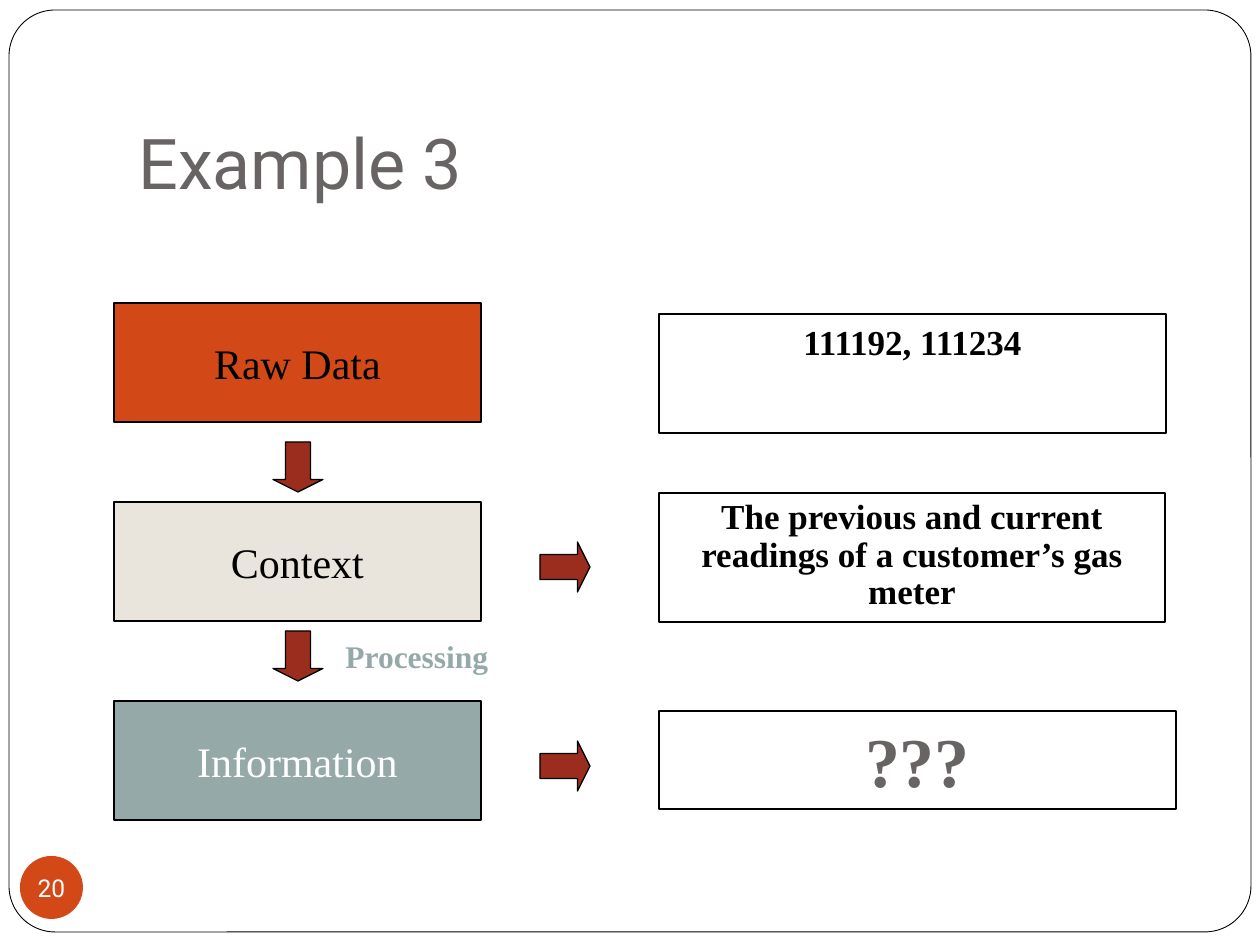
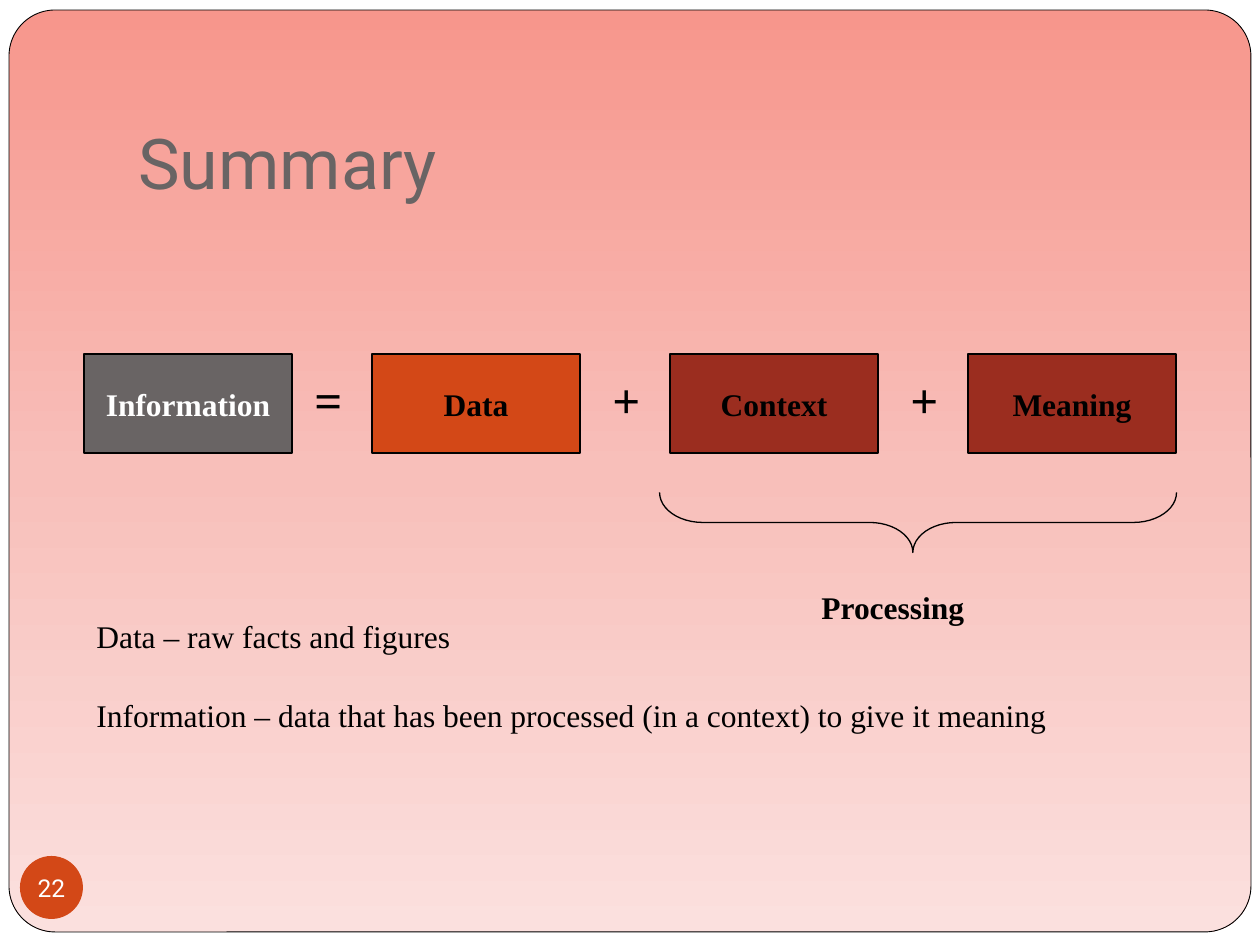
from copy import deepcopy
from dataclasses import dataclass

from pptx import Presentation
from pptx.dml.color import RGBColor
from pptx.enum.shapes import MSO_SHAPE as Shape
from pptx.enum.text import MSO_ANCHOR as Anchor, PP_ALIGN as Align
from pptx.util import Emu, Pt


@dataclass(frozen=True)
class Theme:
    black: str = "000000"
    white: str = "FFFFFF"
    gray: str = "696464"
    orange: str = "D34817"
    red: str = "9B2D1F"
    sand: str = "E9E5DC"
    sage: str = "96A9A9"
    blush: tuple = ("F7968C", "F8BFBA", "FBE0DE")
    sans: str = "Roboto"
    serif: str = "Times New Roman"
    title: int = 40
    flow: int = 24
    operator: int = 28
    detail: int = 20
    body: int = 18
    number: int = 14
    outline: float = 0.75
    frame_outline: float = 0.5


THEME = Theme()
PX_PER_INCH = 126

# Content of the example slide: the flow and its explanations
EXAMPLE = {"title": "Example 3", "number": "20"}
FLOW = [
    ("Raw Data", THEME.orange, THEME.black),
    ("Context", THEME.sand, THEME.black),
    ("Information", THEME.sage, THEME.white),
]
# Text, top, width, height, type size, colour, line spacing
EXPLANATIONS = [
    ("111192, 111234", 314, 507, 119, THEME.detail, THEME.black, None),
    ("The previous and current readings of a customer’s gas meter",
     493, 506, 129, THEME.detail, THEME.black, 0.9),
    ("???", 711, 517, 98, THEME.title, THEME.gray, None),
]
# Left, top, rotation
ARROWS = [(273, 442, 0), (273, 631, 0), (540, 542, 270), (540, 741, 270)]

# Content of the summary slide: the equation and its definitions
SUMMARY = {"title": "Summary", "number": "22"}
RESULT = ("Information", THEME.gray, THEME.white)
TERMS = [
    ("=", "Data", THEME.orange),
    ("+", "Context", THEME.red),
    ("+", "Meaning", THEME.red),
]
DEFINITIONS = [
    ("Data – raw facts and figures", 611, 466),
    ("Information – data that has been processed (in a context) to give it meaning",
     690, 1101),
]
PROCESSING = "Processing"


def px(length):
    return Emu(round(length * 914400 / PX_PER_INCH))


def rgb(color):
    return RGBColor.from_string(color)


def write(shape, text, size, color, font=THEME.serif, bold=False,
          align=Align.LEFT, anchor=Anchor.TOP, line_spacing=None):
    frame = shape.text_frame
    frame.word_wrap = True
    frame.vertical_anchor = anchor
    paragraph = frame.paragraphs[0]
    paragraph.text = text
    paragraph.alignment = align
    if line_spacing:
        paragraph.line_spacing = line_spacing
    paragraph.font.size = Pt(size)
    paragraph.font.name = font
    paragraph.font.bold = bold
    paragraph.font.color.rgb = rgb(color)


def add_shape(slide, kind, box, fill=None, line=THEME.black, width=THEME.outline):
    shape = slide.shapes.add_shape(kind, *map(px, box))
    shape.shadow.inherit = False
    if fill:
        shape.fill.solid()
        shape.fill.fore_color.rgb = rgb(fill)
    else:
        shape.fill.background()
    if line:
        shape.line.color.rgb = rgb(line)
        shape.line.width = Pt(width)
    else:
        shape.line.fill.background()
    return shape


def add_text(slide, box, text, size, color, **style):
    shape = slide.shapes.add_textbox(*map(px, box))
    write(shape, text, size, color, **style)
    return shape


def add_label_box(slide, box, text, fill, color, size, bold=False):
    shape = add_shape(slide, Shape.RECTANGLE, box, fill)
    write(shape, text, size, color, bold=bold, align=Align.CENTER, anchor=Anchor.MIDDLE)


def fill_downward(shape, colors):
    """Fill with evenly spaced colours from top to bottom."""
    shape.fill.gradient()
    shape.fill.gradient_angle = 270
    first = shape.fill.gradient_stops[0]
    stop_list = shape._element.spPr.find(".//{*}gsLst")
    for _ in range(len(colors) - len(shape.fill.gradient_stops)):
        stop_list.insert(1, deepcopy(stop_list[0]))
    for index, (stop, color) in enumerate(zip(shape.fill.gradient_stops, colors)):
        stop.color.rgb = rgb(color)
        stop.position = index / (len(colors) - 1)


def add_base_slide(presentation, content, gradient=None):
    """Add the frame, title and page number that both slides share."""
    slide = presentation.slides.add_slide(presentation.slide_layouts[6])
    frame = add_shape(slide, Shape.ROUNDED_RECTANGLE, (9, 10, 1242, 922),
                      THEME.white, width=THEME.frame_outline)
    frame.adjustments[0] = 0.05
    if gradient:
        fill_downward(frame, gradient)

    title = add_text(slide, (126, 59, 1071, 158), content["title"], THEME.title,
                     THEME.gray, font=THEME.sans, anchor=Anchor.BOTTOM)
    title.text_frame.margin_bottom = px(13)

    badge = add_shape(slide, Shape.OVAL, (20, 856, 63, 63), THEME.orange, line=None)
    write(badge, content["number"], THEME.number, THEME.white, font=THEME.sans,
          align=Align.CENTER, anchor=Anchor.MIDDLE)
    text_frame = badge.text_frame
    text_frame.margin_left = text_frame.margin_right = 0
    text_frame.margin_top = text_frame.margin_bottom = 0
    return slide


def build_example(presentation):
    slide = add_base_slide(presentation, EXAMPLE)

    # Flow from raw data to information
    for row, (label, fill, color) in enumerate(FLOW):
        add_label_box(slide, (114, 303 + 199 * row, 367, 119),
                      label, fill, color, THEME.flow)
    for left, top, rotation in ARROWS:
        arrow = add_shape(slide, Shape.DOWN_ARROW, (left, top, 50, 50), THEME.red)
        arrow.adjustments[0], arrow.adjustments[1] = 0.5, 0.25
        arrow.rotation = rotation
    add_text(slide, (333, 631, 195, 50), PROCESSING, THEME.body, THEME.sage, bold=True)

    # Explanation beside each step
    for text, top, width, height, size, color, spacing in EXPLANATIONS:
        box = add_shape(slide, Shape.RECTANGLE, (659, top, width, height))
        write(box, text, size, color, bold=True, align=Align.CENTER, line_spacing=spacing)


def build_summary(presentation):
    slide = add_base_slide(presentation, SUMMARY, THEME.blush)

    # Equation
    top, width, height, pitch = 354, 208, 99, 298
    add_label_box(slide, (84, top, width, height), *RESULT, THEME.body, bold=True)
    for column, (operator, term, fill) in enumerate(TERMS):
        offset = pitch * column
        add_text(slide, (302 + offset, 363, 54, 72), operator,
                 THEME.operator, THEME.black, bold=True)
        add_label_box(slide, (372 + offset, top, width, height), term, fill,
                      THEME.black, THEME.body, bold=True)

    # Brace under context and meaning
    brace = add_shape(slide, Shape.RIGHT_BRACE, (888, 264, 60, 517))
    brace.adjustments[0], brace.adjustments[1] = 0.72, 0.51
    brace.rotation = 90
    add_text(slide, (809, 582, 195, 50), PROCESSING, THEME.body, THEME.black, bold=True)

    # Definitions
    for text, text_top, text_width in DEFINITIONS:
        add_text(slide, (84, text_top, text_width, 50), text, THEME.body, THEME.black)


def main():
    presentation = Presentation()
    presentation.slide_width = px(1260)
    presentation.slide_height = px(945)
    build_example(presentation)
    build_summary(presentation)
    presentation.save("out.pptx")


if __name__ == "__main__":
    main()
